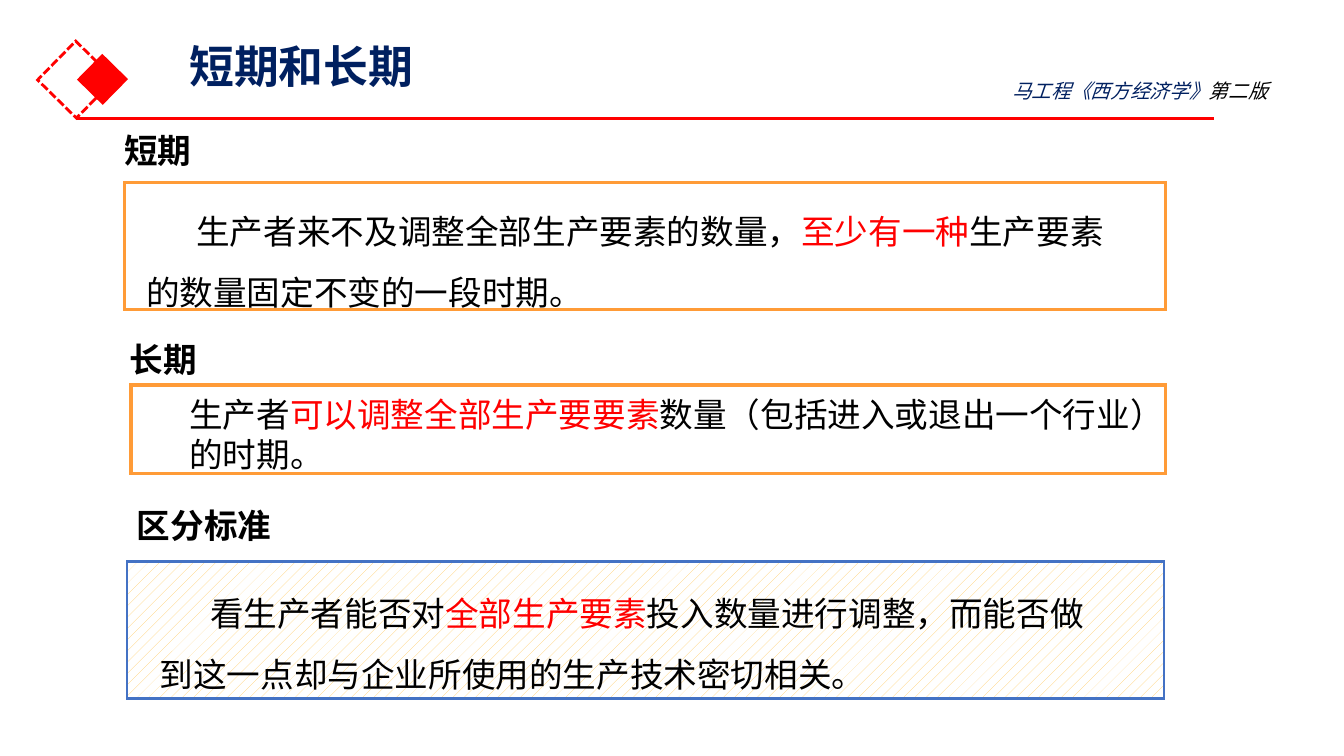
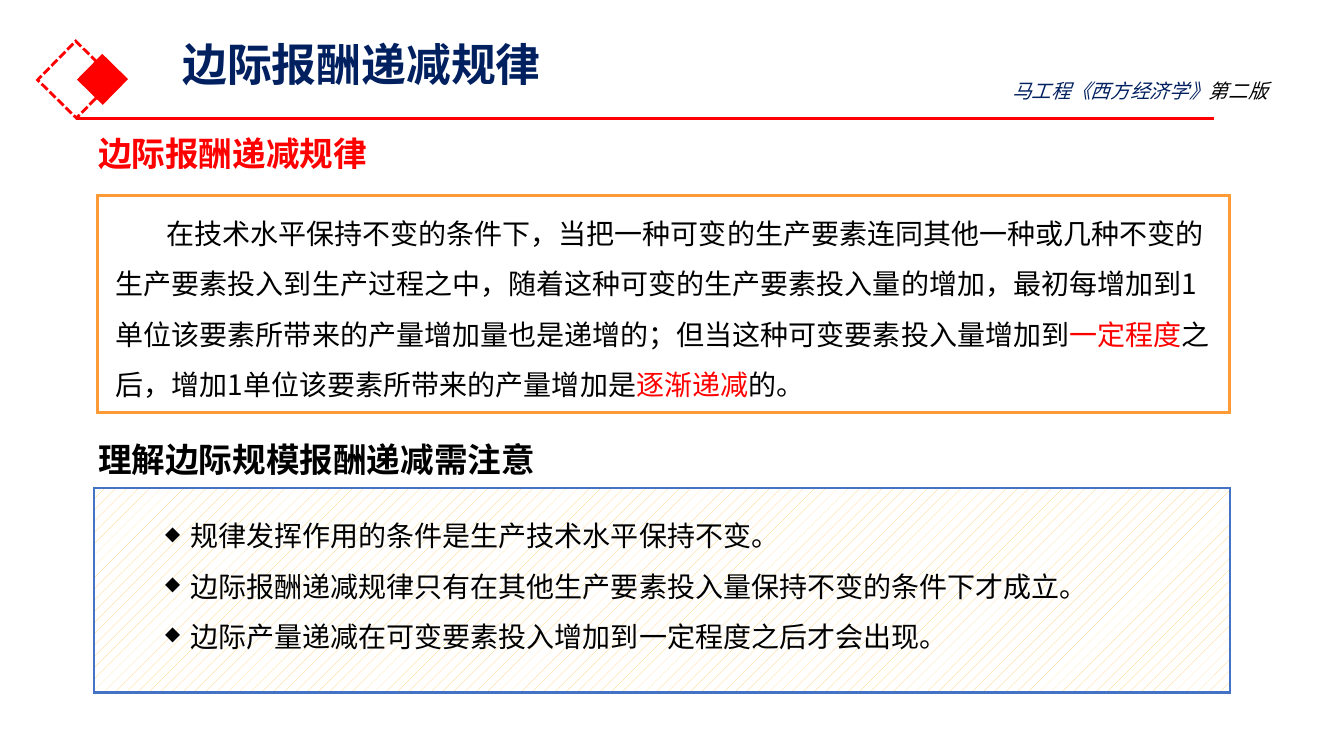
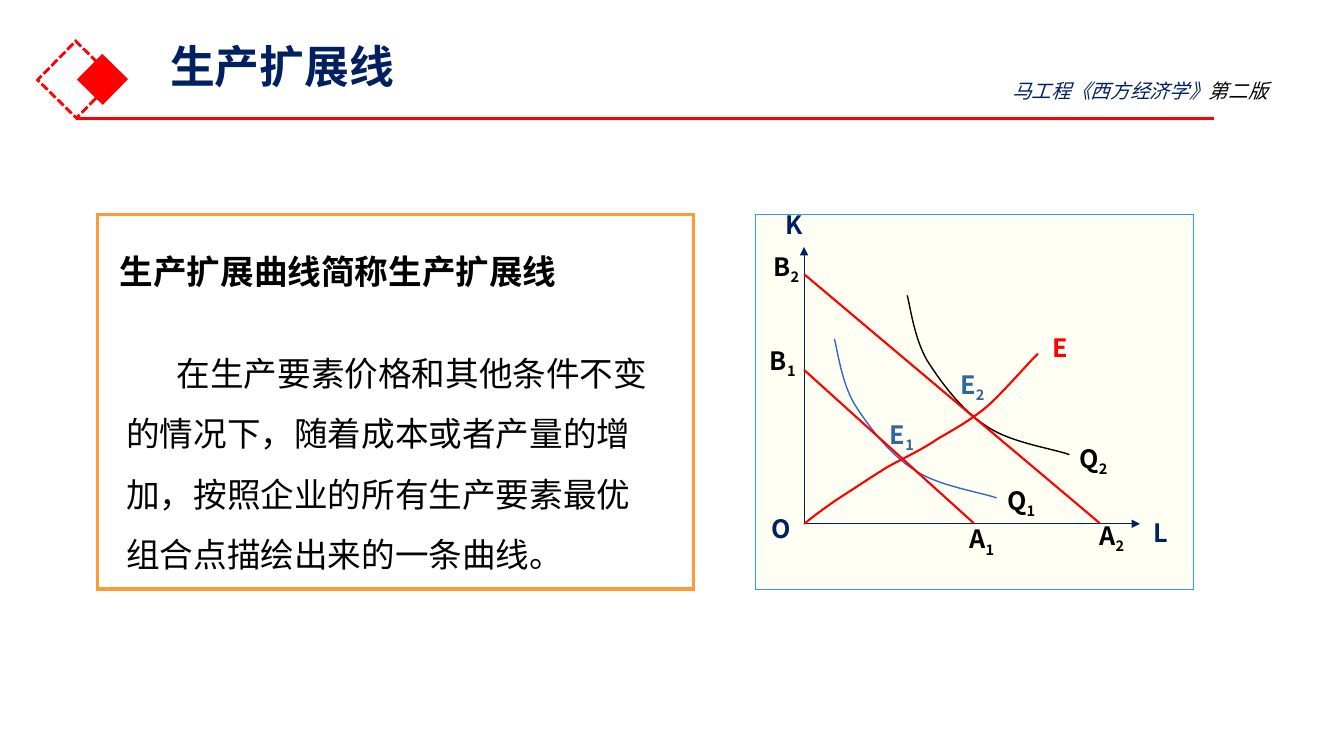
"""Build three economics slides on the short run, diminishing returns and expansion paths."""
from lxml.etree import SubElement
from pptx import Presentation
from pptx.dml.color import RGBColor
from pptx.enum.dml import MSO_LINE, MSO_PATTERN
from pptx.enum.shapes import MSO_CONNECTOR, MSO_SHAPE
from pptx.enum.text import MSO_ANCHOR
from pptx.oxml.ns import qn
from pptx.util import Emu, Inches, Pt

CELL = Inches(0.1)
COLUMNS, ROWS = 133.33, 75
FONT = "Noto Sans CJK SC"
RED, NAVY, BLACK, WHITE = "FF0000", "002060", "000000", "FFFFFF"
ORANGE, BLUE, SAND = "FF9B37", "4472C4", "FFCC66"
STEEL, CURVE_BLUE = "336699", "3366CC"
BULLET_MARGIN, BULLET_HANGING = 3.1, 2.5
FIRST_LINE = 5

ISOQUANT = [(0, 0), (0.3, 1.1), (0.7, 4.3), (2, 6.5), (3.4, 8.7), (5.5, 11.5),
            (7.9, 13), (10.2, 14.6), (14.4, 15.2), (16.1, 15.8)]
EXPANSION = [(0, 0), (0.6, -0.5), (2.3, -1.8), (3.7, -2.7), (5.1, -3.6), (6.6, -4.6),
             (8.2, -5.6), (9.8, -6.5), (11.6, -7.3), (13.2, -8.4), (14.9, -9.4),
             (16.4, -10.2), (18.1, -11.6), (19.7, -13), (22.1, -15.8), (23.2, -16.9)]


def cells(*lengths):
    """Turn grid cells into slide lengths."""
    return [Emu(round(length * CELL)) for length in lengths]


def rgb(value):
    """Turn a hex string into a colour."""
    return RGBColor.from_string(value)


def set_line(shape, color, width, dash=None):
    """Format the line of a shape or connector, with sharp corners."""
    shape.line.color.rgb = rgb(color)
    shape.line.width = Pt(width)
    if dash:
        shape.line.dash_style = dash
    SubElement(shape.line._get_or_add_ln(), qn("a:miter"), lim="800000")


def add_box(slide, at, line, width, fill=None, hatch=None, rotation=0, dash=None):
    """Add a rectangle that is empty, filled or hatched."""
    shape = slide.shapes.add_shape(MSO_SHAPE.RECTANGLE, *cells(*at))
    shape.shadow.inherit = False
    shape.rotation = rotation
    if hatch:
        shape.fill.patterned()
        shape.fill.pattern = MSO_PATTERN.PERCENT_10
        shape.fill.fore_color.rgb = rgb(hatch)
        shape.fill.back_color.rgb = rgb(WHITE)
    elif fill:
        shape.fill.solid()
        shape.fill.fore_color.rgb = rgb(fill)
    else:
        shape.fill.background()
    set_line(shape, line, width, dash)


def add_line(slide, start, end, color, width, arrow=False):
    """Add a straight line, with an arrowhead at its end if asked."""
    connector = slide.shapes.add_connector(MSO_CONNECTOR.STRAIGHT, *cells(*start, *end))
    set_line(connector, color, width)
    if arrow:
        SubElement(connector.line._get_or_add_ln(), qn("a:tailEnd"), type="triangle")
    SubElement(connector._element.spPr, qn("a:effectLst"))


def add_curve(slide, start, controls, color, width):
    """Add a chain of cubic curves whose control points are relative to its start."""
    points = [cells(start[0] + x, start[1] + y) for x, y in controls]
    builder = slide.shapes.build_freeform(*points[0])
    builder.add_line_segments(points[1:], close=False)
    curve = builder.convert_to_shape()
    curve.shadow.inherit = False
    curve.fill.background()
    set_line(curve, color, width)
    segments = list(curve._element.iter(qn("a:lnTo")))
    outline = segments[0].getparent()
    for first in range(0, len(segments), 3):
        cubic = SubElement(outline, qn("a:cubicBezTo"))
        for segment in segments[first:first + 3]:
            cubic.append(segment[0])
            outline.remove(segment)


def add_run(paragraph, text, size, color, bold=False, italic=False, baseline=0):
    """Add one formatted run."""
    run = paragraph.add_run()
    run.text = text
    font = run.font
    font.name, font.size, font.bold, font.italic = FONT, Pt(size), bold, italic
    font.color.rgb = rgb(color)
    properties = run._r.get_or_add_rPr()
    SubElement(properties, qn("a:ea"), typeface=FONT)
    if baseline:
        properties.set("baseline", str(baseline * 1000))


def set_indent(paragraph, margin, indent, bullet=None):
    """Set the left margin and first line of a paragraph, and its bullet if any."""
    properties = paragraph._p.get_or_add_pPr()
    for name, length in zip(("marL", "indent"), cells(margin, indent)):
        properties.set(name, str(length))
    if bullet:
        SubElement(properties, qn("a:buSzPct"), val="70000")
        SubElement(properties, qn("a:buChar"), char=bullet)


def add_text(slide, at, *paragraphs, size=24, color=BLACK, spacing=1.0, first_line=0,
             bullet=None, anchor=MSO_ANCHOR.TOP, wrap=True, **style):
    """Add a text box; a paragraph is a string or a list of strings and (text, overrides)."""
    frame = slide.shapes.add_textbox(*cells(*at)).text_frame
    frame.word_wrap = wrap
    frame.vertical_anchor = anchor
    margin, indent = (BULLET_MARGIN, -BULLET_HANGING) if bullet else (0, first_line)
    for index, content in enumerate(paragraphs):
        paragraph = frame.add_paragraph() if index else frame.paragraphs[0]
        paragraph.line_spacing = spacing
        set_indent(paragraph, margin, indent, bullet)
        for part in [content] if isinstance(content, str) else content:
            text, overrides = (part, {}) if isinstance(part, str) else part
            add_run(paragraph, text, **{"size": size, "color": color, **style, **overrides})


def red(text):
    """Mark a piece of text as emphasised."""
    return text, {"color": RED}


def add_heading(slide, left, top, text, width=50, color=BLACK):
    """Add a bold section heading."""
    add_text(slide, (left, top, width, 5), text, color=color, bold=True)


def add_label(slide, left, middle, letter, index="", color=BLACK):
    """Add a diagram label, with a subscript if there is an index."""
    parts = [letter, (index, {"baseline": -25})] if index else letter
    add_text(slide, (left, middle - 2, 5, 4), parts, size=18, color=color, bold=True,
             anchor=MSO_ANCHOR.MIDDLE, wrap=False)


def start_slide(presentation, title, left, top=3.9):
    """Add a slide with the shared emblem, rule, title and book name."""
    slide = presentation.slides.add_slide(presentation.slide_layouts[6])
    add_box(slide, (4.85, 5.2, 5.4, 5.4), RED, 2, rotation=314.5, dash=MSO_LINE.SQUARE_DOT)
    add_box(slide, (8.45, 6.15, 3.45, 3.45), RED, 1, fill=RED, rotation=314.5)
    add_line(slide, (7.5, 11.74), (120.4, 11.74), RED, 2.25)
    add_text(slide, (left, top, 115, 9.5), title, size=32, color=NAVY, bold=True, spacing=0.9)
    add_text(slide, (99.45, 7.3, 32.4, 3.4), ["马工程《西方经济学》", ("第二版", {"color": BLACK})],
             size=14, color=NAVY, italic=True)
    return slide


def build_periods(presentation):
    """Build the slide on the short run and the long run."""
    slide = start_slide(presentation, "短期和长期", 17.8)
    add_box(slide, (12.6, 55.7, 102.9, 13.6), BLUE, 1.75, hatch=SAND)
    add_box(slide, (12.35, 18.1, 103.3, 12.6), ORANGE, 2.25)
    add_box(slide, (13, 38.2, 102.6, 8.8), ORANGE, 2.25)
    for left, top, heading in ((11.35, 12.4, "短期"), (11.9, 33.1, "长期"), (12.6, 49.6, "区分标准")):
        add_heading(slide, left, top, heading, width=18.7)
    add_text(slide, (13.5, 18.45, 99.5, 12.2),
             ["生产者来不及调整全部生产要素的数量，", red("至少有一种"), "生产要素的数量固定不变的一段时期。"],
             spacing=1.5, first_line=FIRST_LINE)
    add_text(slide, (17.8, 38.6, 109.4, 9.1),
             ["生产者", red("可以调整全部生产要要素"), "数量（包括进入或退出一个行业）"], "的时期。")
    add_text(slide, (14.86, 56.36, 96.8, 12.4),
             ["看生产者能否对", red("全部生产要素"),
              "投入数量进行调整，而能否做到这一点却与企业所使用的生产技术密切相关。"],
             spacing=1.5, first_line=FIRST_LINE)


def build_returns(presentation):
    """Build the slide on diminishing marginal returns."""
    slide = start_slide(presentation, "边际报酬递减规律", 17.1, top=3.8)
    add_box(slide, (9.35, 48.4, 112.7, 20.3), BLUE, 1.75, hatch=SAND)
    add_box(slide, (9.7, 19.4, 112.3, 21.5), ORANGE, 2.25)
    add_heading(slide, 8.75, 12.7, "边际报酬递减规律", color=RED)
    add_text(slide, (10.5, 19.3, 110.6, 21.2),
             ["在技术水平保持不变的条件下，当把一种可变的生产要素连同其他一种或几种不变的生产要素投入到"
              "生产过程之中，随着这种可变的生产要素投入量的增加，最初每增加到1单位该要素所带来的产量增加量"
              "也是递增的；但当这种可变要素投入量增加到", red("一定程度"),
              "之后，增加1单位该要素所带来的产量增加是", red("逐渐递减"), "的。"],
             size=20, spacing=1.5, first_line=FIRST_LINE)
    add_heading(slide, 8.75, 43.05, "理解边际规模报酬递减需注意")
    add_text(slide, (14.8, 49.3, 94.3, 16.2),
             "规律发挥作用的条件是生产技术水平保持不变。",
             "边际报酬递减规律只有在其他生产要素投入量保持不变的条件下才成立。",
             "边际产量递减在可变要素投入增加到一定程度之后才会出现。",
             size=20, spacing=1.5, bullet="◆")


def draw_diagram(slide):
    """Draw the isoquants, cost lines and expansion path."""
    left, base = origin = (79.77, 51.97)
    add_box(slide, (75, 21.24, 43.4, 37.2), "3399FF", 0.75, fill="FFFFF3")
    for tip in ((left, 24.5), (113.1, base)):
        add_line(slide, origin, tip, NAVY, 0.75, arrow=True)
    add_curve(slide, (82.77, 33.6), ISOQUANT, CURVE_BLUE, 1)
    add_curve(slide, (90, 29.3), ISOQUANT, BLACK, 1)
    for height, right in ((36.7, 96.6), (27.2, 109.1)):
        add_line(slide, (left, height), (right, 51.9), RED, 1.5)
    add_curve(slide, origin, EXPANSION, RED, 1.5)
    for label in ((76.95, 22.3, "K", "", NAVY), (113.45, 52.8, "L", "", NAVY),
                  (75.6, 52.4, "O", "", NAVY), (103.4, 34.5, "E", "", RED),
                  (98.95, 49.85, "Q", "1"), (106.1, 45.65, "Q", "2"),
                  (87.3, 43.3, "E", "1", STEEL), (94.3, 38.35, "E", "2", STEEL),
                  (95.2, 53.65, "A", "1"), (108.1, 53.3, "A", "2"),
                  (75.4, 35.95, "B", "1"), (75.75, 26.65, "B", "2")):
        add_label(slide, *label)


def build_expansion(presentation):
    """Build the slide on the expansion path."""
    slide = start_slide(presentation, "生产扩展线", 15.9)
    add_box(slide, (9.7, 21.24, 59.1, 37.2), ORANGE, 2.25)
    add_heading(slide, 10.9, 24.4, "生产扩展曲线简称生产扩展线")
    add_text(slide, (11.55, 32.5, 54.3, 24.5),
             "在生产要素价格和其他条件不变的情况下，随着成本或者产量的增加，"
             "按照企业的所有生产要素最优组合点描绘出来的一条曲线。",
             spacing=1.5, first_line=FIRST_LINE)
    draw_diagram(slide)


def main():
    """Build and save the presentation."""
    presentation = Presentation()
    presentation.slide_width, presentation.slide_height = cells(COLUMNS, ROWS)
    build_periods(presentation)
    build_returns(presentation)
    build_expansion(presentation)
    presentation.save("out.pptx")


if __name__ == "__main__":
    main()
